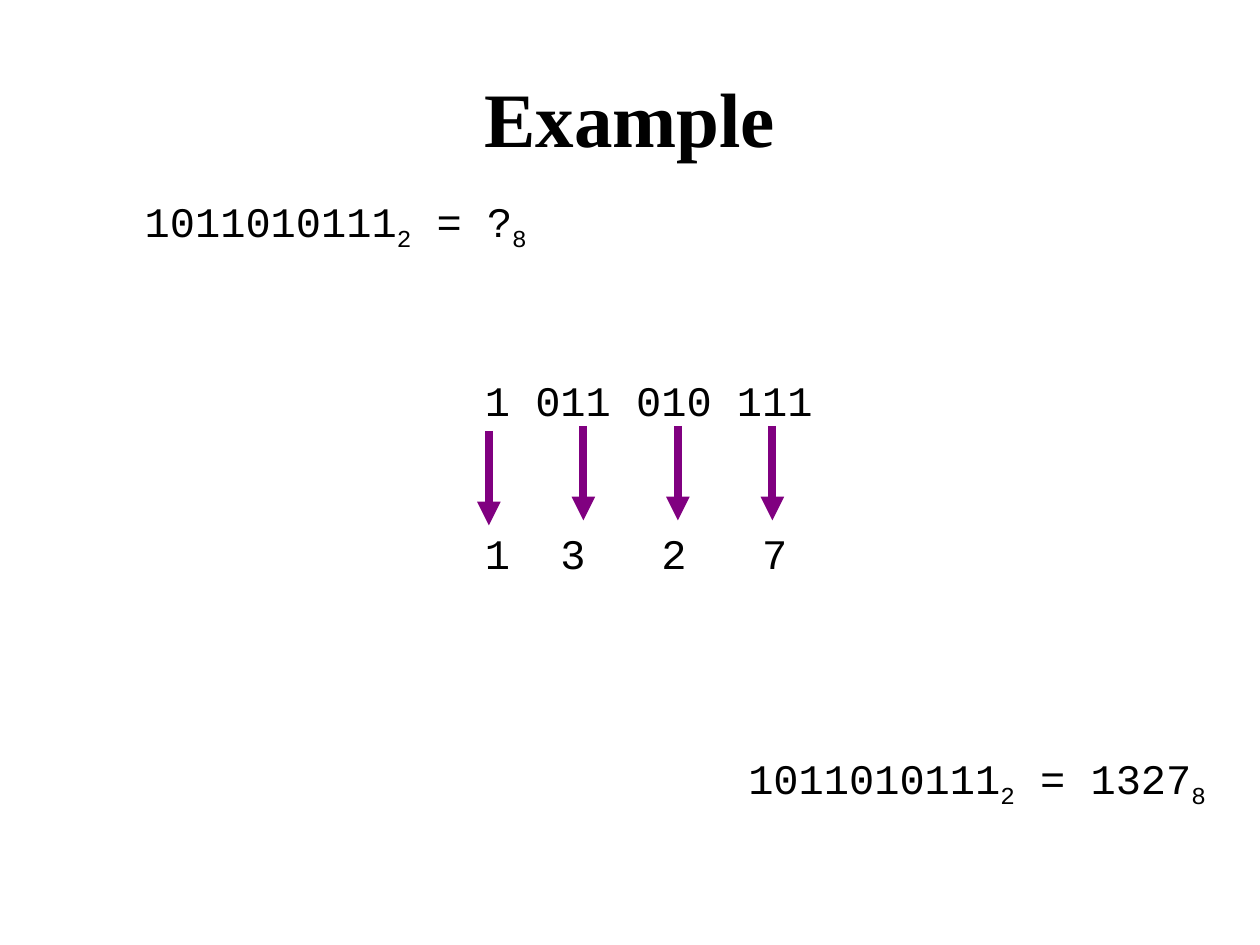
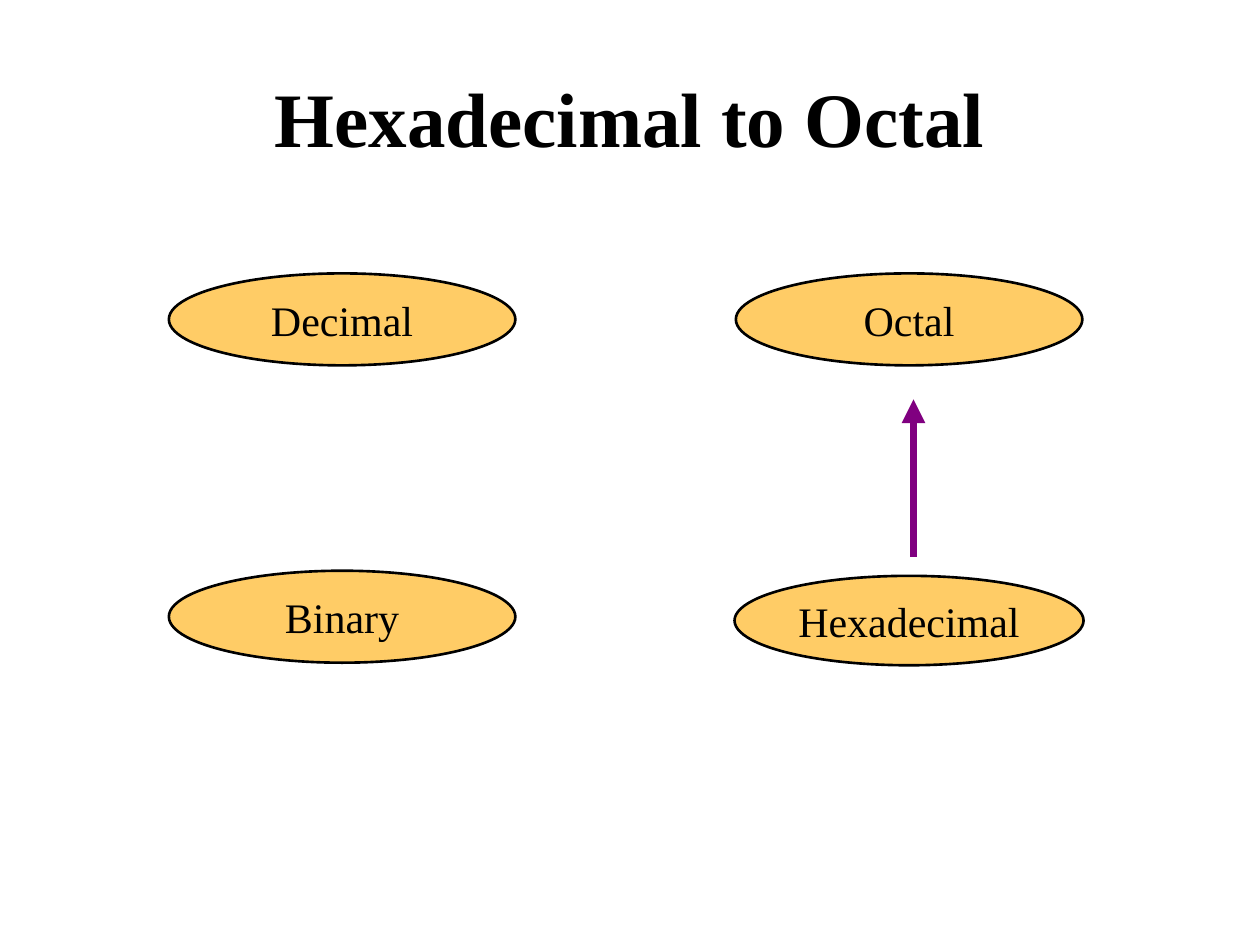
import pptx
import pptx.util
import pptx.dml.color
import pptx.enum.shapes
import pptx.enum.text
import pptx.oxml.ns
from lxml import etree

Inches = pptx.util.Inches
Pt = pptx.util.Pt
Align = pptx.enum.text.PP_ALIGN
Anchor = pptx.enum.text.MSO_ANCHOR

BLACK = pptx.dml.color.RGBColor(0x00, 0x00, 0x00)
PURPLE = pptx.dml.color.RGBColor(0x80, 0x00, 0x80)
AMBER = pptx.dml.color.RGBColor(0xFF, 0xCC, 0x66)
SERIF = "Times New Roman"
MONO = "Courier New"


def add_element(parent, tag, **attributes):
    """Append a drawing element to its parent."""
    return etree.SubElement(parent, pptx.oxml.ns.qn(tag), attributes)


class Slides:
    """Holds the deck, its style and the current page."""

    def __init__(self):
        self.deck = pptx.Presentation()
        self.deck.slide_width = Inches(10)
        self.deck.slide_height = Inches(7.5)
        self.page = None

    def start(self, title):
        """Add a page with a centred title."""
        self.page = self.deck.slides.add_slide(self.deck.slide_layouts[6])
        frame = self.text_frame(0.5, 0.3, 9, 1.25)
        frame.vertical_anchor = Anchor.MIDDLE
        self.style(frame.paragraphs[0], title, SERIF, 44, Align.CENTER, bold=True)

    def text_frame(self, left, top, width, height):
        """Add a wrapping text box and return its frame."""
        box = self.page.shapes.add_textbox(
            Inches(left), Inches(top), Inches(width), Inches(height))
        box.text_frame.word_wrap = True
        return box.text_frame

    def style(self, para, text, font, size, align, bold=False):
        """Write the text of a paragraph and set its look."""
        if text:
            para.add_run().text = text
        para.alignment = align
        para.font.name = font
        para.font.size = Pt(size)
        para.font.bold = bold
        para.font.color.rgb = BLACK

    def equation(self, left, top, align, parts):
        """Add digits in which every second part is a subscript."""
        para = self.text_frame(left, top, 4.67, 0.56).paragraphs[0]
        for index, part in enumerate(parts):
            span = para.add_run()
            span.text = part
            if index % 2:
                span.font._element.set("baseline", "-25000")
        self.style(para, "", MONO, 24, align)

    def digit_groups(self, left, top, binary, octal, stops):
        """Add binary groups above octal digits set on tab stops."""
        frame = self.text_frame(left, top, 4.67, 1.77)
        self.style(frame.paragraphs[0], binary, MONO, 24, Align.LEFT)
        para = frame.add_paragraph()
        para.space_before = Pt(59)
        tabs = add_element(para._p.get_or_add_pPr(), "a:tabLst")
        for stop in stops:
            add_element(tabs, "a:tab", pos=str(Inches(stop)), algn="l")
        self.style(para, "\t".join(octal), MONO, 24, Align.LEFT)

    def arrow(self, x, start, end):
        """Add a vertical arrow that points to its end."""
        line = self.page.shapes.add_connector(
            pptx.enum.shapes.MSO_CONNECTOR.STRAIGHT,
            Inches(x), Inches(start), Inches(x), Inches(end))
        line.line.color.rgb = PURPLE
        line.line.width = Pt(4.5)
        add_element(line.line._get_or_add_ln(), "a:tailEnd", type="triangle")
        add_element(line._element.spPr, "a:effectLst")

    def ellipse(self, text, left, top, width=2.75, height=0.73):
        """Add a labelled ellipse."""
        shape = self.page.shapes.add_shape(
            pptx.enum.shapes.MSO_SHAPE.OVAL,
            Inches(left), Inches(top), Inches(width), Inches(height))
        shape.shadow.inherit = False
        shape.fill.solid()
        shape.fill.fore_color.rgb = AMBER
        shape.line.color.rgb = BLACK
        shape.line.width = Pt(1.5)
        frame = shape.text_frame
        frame.word_wrap = False
        frame.vertical_anchor = Anchor.MIDDLE
        self.style(frame.paragraphs[0], text, SERIF, 24, Align.CENTER)


def main():
    """Build both slides and save them."""
    slides = Slides()

    slides.start("Example")
    slides.equation(0.33, 1.5, Align.CENTER, ["1011010111", "2", " = ?", "8"])
    slides.digit_groups(3.75, 2.92, "1 011 010 111", "1327", [0.6, 1.4, 2.2])
    for column in range(4):
        top = 3.38 if column else 3.42
        slides.arrow(3.88 + 0.75 * column, top, top + 0.75)
    slides.equation(5, 5.92, Align.RIGHT, ["1011010111", "2", " = 1327", "8"])

    slides.start("Hexadecimal to Octal")
    slides.ellipse("Hexadecimal", 5.83, 4.57, 2.77, 0.71)
    slides.ellipse("Decimal", 1.34, 2.17)
    slides.ellipse("Octal", 5.84, 2.17)
    slides.ellipse("Binary", 1.34, 4.53)
    slides.arrow(7.25, 4.42, 3.17)

    slides.deck.save("out.pptx")


if __name__ == "__main__":
    main()
